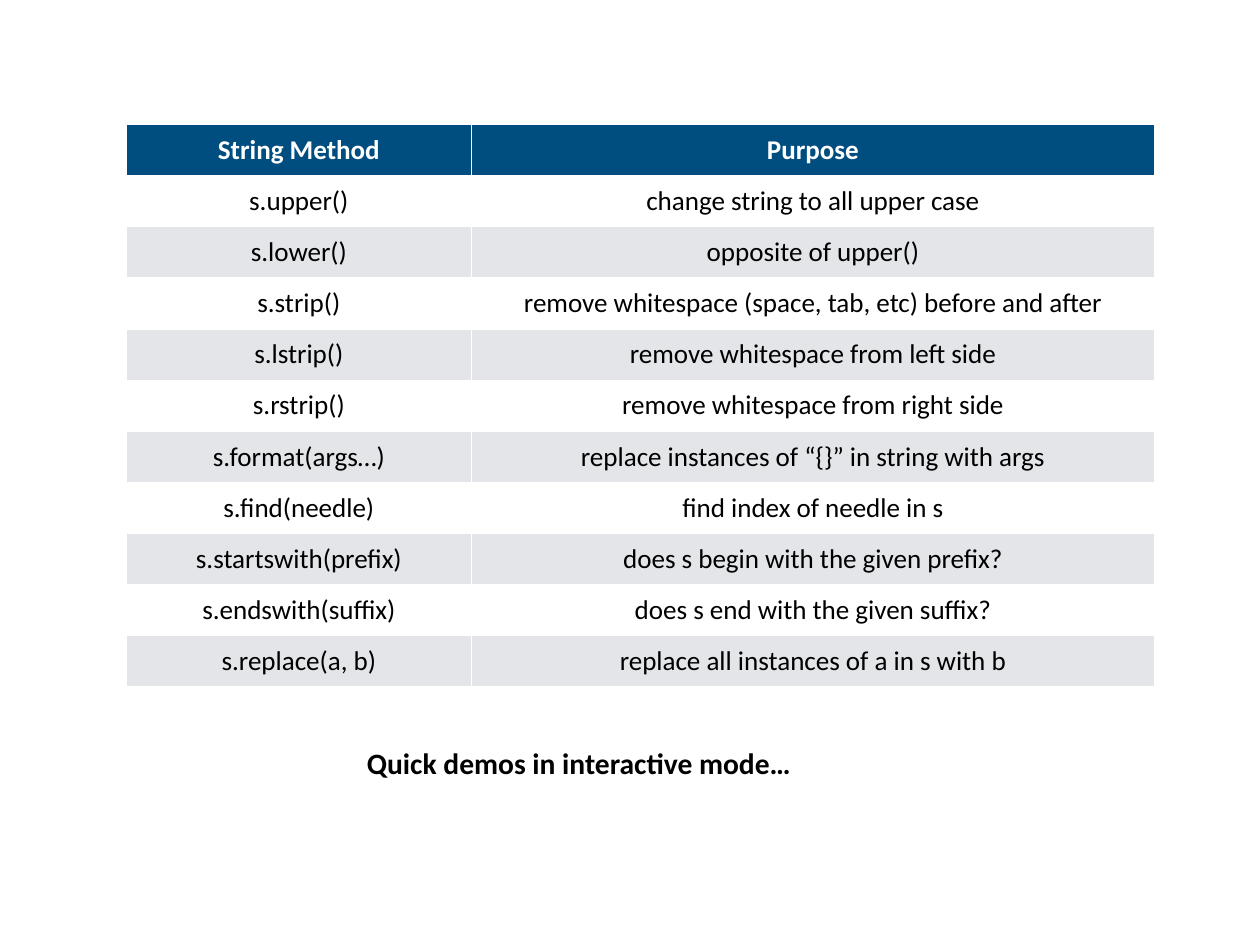
from pptx import Presentation
from pptx.dml.color import RGBColor
from pptx.enum.text import MSO_ANCHOR as Anchor, PP_ALIGN as Align
from pptx.util import Inches, Pt

METHODS = [
    ("String Method", "Purpose"),
    ("s.upper()", "change string to all upper case"),
    ("s.lower()", "opposite of upper()"),
    ("s.strip()", "remove whitespace (space, tab, etc) before and after"),
    ("s.lstrip()", "remove whitespace from left side"),
    ("s.rstrip()", "remove whitespace from right side"),
    ("s.format(args…)", "replace instances of “{}” in string with args"),
    ("s.find(needle)", "find index of needle in s"),
    ("s.startswith(prefix)", "does s begin with the given prefix?"),
    ("s.endswith(suffix)", "does s end with the given suffix?"),
    ("s.replace(a, b)", "replace all instances of a in s with b"),
]


def color(hex_string):
    return RGBColor.from_string(hex_string)


class SlideBuilder:
    """Holds the style and the slide; lengths are percent of the slide size."""
    FONT = "Calibri"
    INK, PAPER, HEADER, BAND = "000000", "FFFFFF", "004D80", "E3E5E8"
    INSET = Inches(0.06)

    def __init__(self, deck):
        self.width, self.height = deck.slide_width, deck.slide_height
        self.slide = deck.slides.add_slide(deck.slide_layouts[6])

    def place(self, left, top, width, height):
        return (int(self.width * left / 100), int(self.height * top / 100),
                int(self.width * width / 100), int(self.height * height / 100))

    def inset(self, holder):
        holder.margin_left = holder.margin_right = self.INSET
        holder.margin_top = holder.margin_bottom = self.INSET
        holder.vertical_anchor = Anchor.MIDDLE

    def add_words(self, frame, words, size, ink, bold, align):
        paragraph = frame.paragraphs[0]
        paragraph.alignment = align
        run = paragraph.add_run()
        run.text = words
        run.font.name, run.font.size, run.font.bold = self.FONT, Pt(size), bold
        run.font.color.rgb = color(ink)

    def table(self, entries, box, shares, size):
        left, top, width, height = self.place(*box)
        grid = self.slide.shapes.add_table(
            len(entries), len(shares), left, top, width, height).table
        for column, share in zip(grid.columns, shares):
            column.width = int(width * share / sum(shares))
        for r, entry in enumerate(entries):
            grid.rows[r].height = height // len(entries)
            is_header = r == 0
            fill = self.HEADER if is_header else (self.BAND, self.PAPER)[r % 2]
            ink = self.PAPER if is_header else self.INK
            for c, words in enumerate(entry):
                cell = grid.cell(r, c)
                cell.fill.solid()
                cell.fill.fore_color.rgb = color(fill)
                self.inset(cell)
                self.add_words(cell.text_frame, words, size, ink, is_header, Align.CENTER)

    def text(self, words, box, size):
        frame = self.slide.shapes.add_textbox(*self.place(*box)).text_frame
        frame.word_wrap = True
        self.inset(frame)
        self.add_words(frame, words, size, self.INK, True, Align.LEFT)


def main():
    deck = Presentation()
    deck.slide_width, deck.slide_height = Inches(14.22), Inches(10.67)
    builder = SlideBuilder(deck)

    # String methods and their purposes
    builder.table(METHODS, box=(10, 13.2, 81.6, 59.5), shares=(3.9, 7.7), size=22)

    # Closing line below the table
    builder.text("Quick demos in interactive mode…", box=(28.7, 78.35, 42.6, 4.7), size=24)

    deck.save("out.pptx")


if __name__ == "__main__":
    main()
